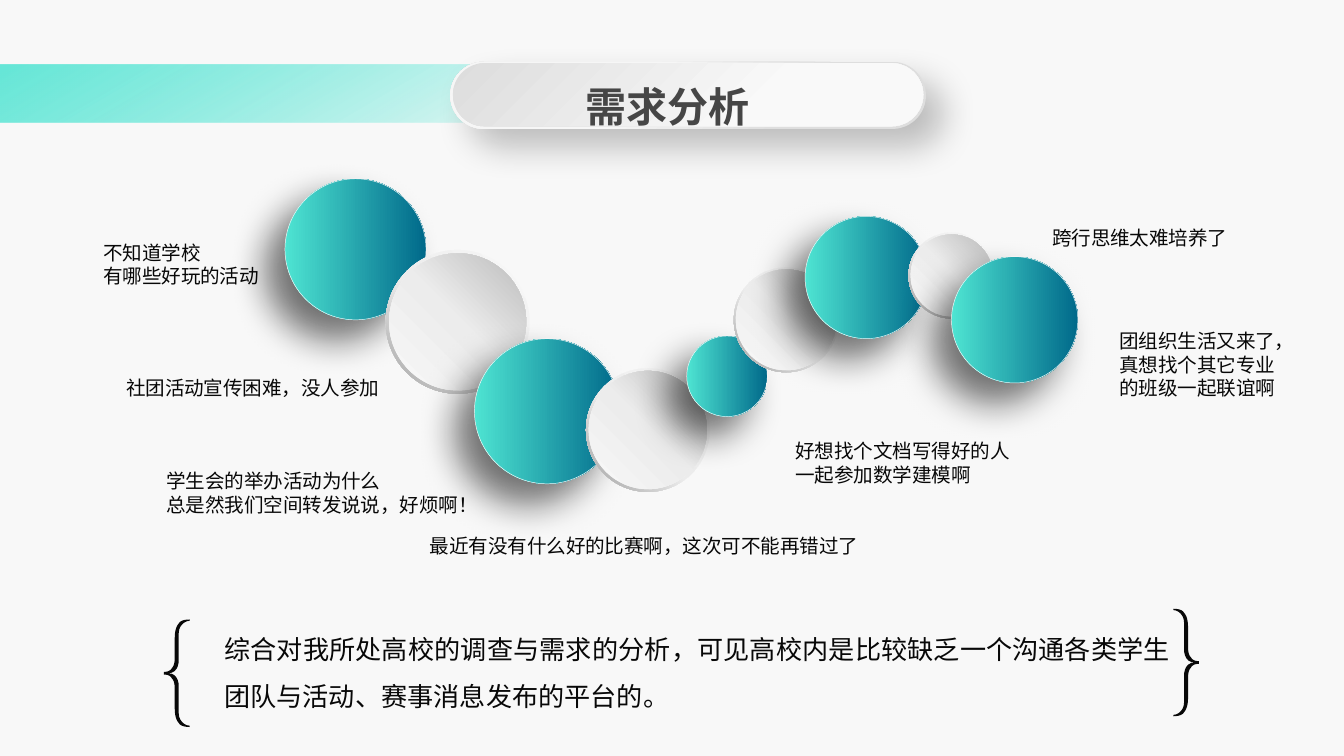
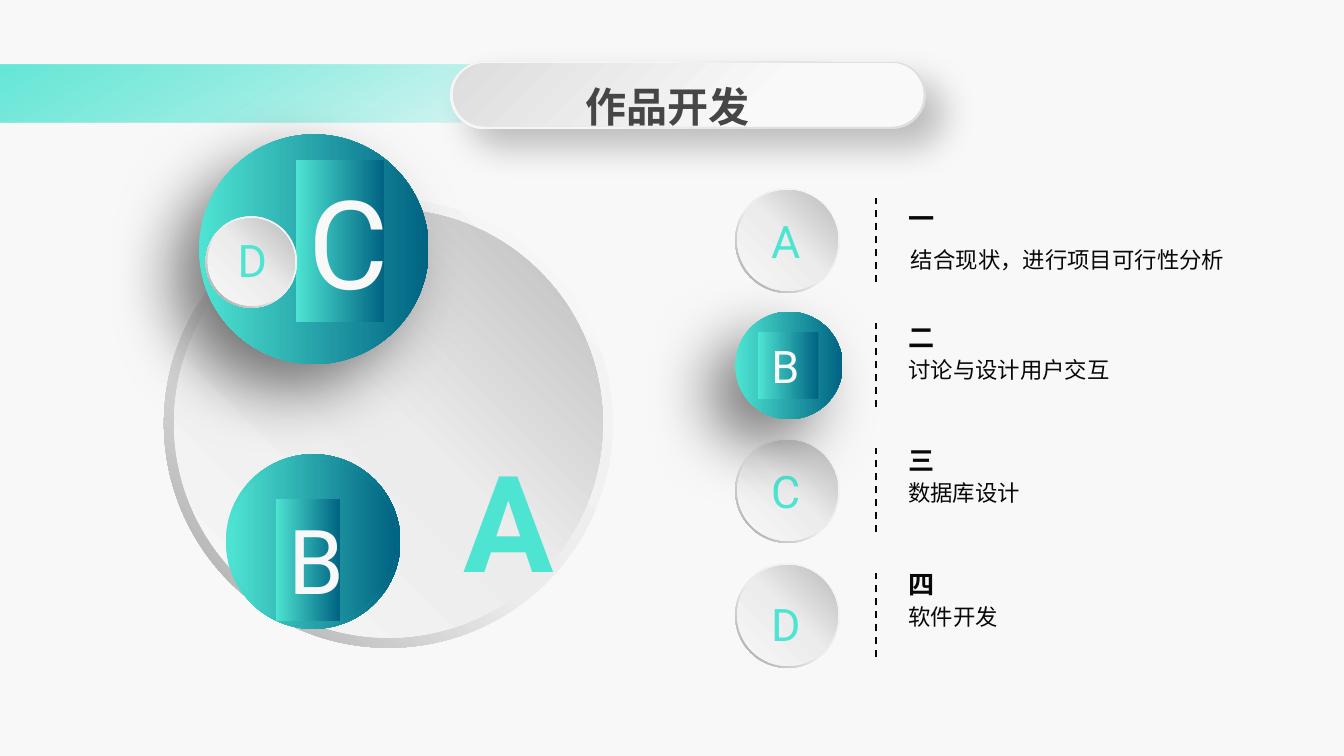
from dataclasses import dataclass

from lxml.etree import SubElement
from pptx import Presentation
from pptx.dml.color import RGBColor
from pptx.enum.dml import MSO_LINE
from pptx.enum.shapes import MSO_CONNECTOR, MSO_SHAPE as Preset
from pptx.enum.text import MSO_AUTO_SIZE, PP_ALIGN as Align
from pptx.oxml.ns import qn
from pptx.util import Emu, Pt

PX = 9144  # 100 px to the inch
SLIDE_WIDTH = 1000
SLIDE_HEIGHT = SLIDE_WIDTH * 9 / 16


@dataclass(frozen=True)
class Gradient:
    angle: int
    stops: tuple  # (position %, colour[, opacity %])


@dataclass(frozen=True)
class Shadow:
    opacity: int
    blur: int
    distance: int
    direction: int


class Theme:
    background = "F8F8F8"
    ink = "080808"
    title_ink = "464646"
    cjk = "Noto Sans CJK SC"
    latin = "Roboto"
    title, summary, heading, body, callout = 22, 14, 14, 12, 10.5
    badge = 24

    band = Gradient(60, ((1, "4EE4D2", 85), (50, "20E2CB", 0)))
    pill_edge = Gradient(225, ((1, "DEDEDE"), (30, "E0E0E0"), (61, "F6F6F6"), (100, "F8F8F8")))
    pill_face = Gradient(45, ((0, "DDDDDD"), (67, "F9F9F9")))
    ring = Gradient(135, ((0, "F8F8F8"), (55, "ECECEC"), (100, "A1A1A1")))
    face = Gradient(315, ((0, "F8F8F8"), (51, "ECECEC"), (100, "BABABA")))
    bead = Gradient(0, ((0, "4EE4D2"), (100, "00698A")))
    teal = Gradient(0, ((0, "4EE4D2"), (100, "006382")))

    pill_shadow = Shadow(24, 19, 14, 45)
    bead_shadow = Shadow(54, 20, 15, 135)
    teal_shadow = Shadow(50, 35, 20, 135)


NEEDS_TITLE = "需求分析"
CALLOUTS = [  # left, top, text, alignment
    (67, 174, "不知道学校\n有哪些好玩的活动", Align.JUSTIFY),
    (84, 275, "社团活动宣传困难，没人参加", Align.JUSTIFY),
    (114, 344, "学生会的举办活动为什么\n总是然我们空间转发说说，好烦啊！", Align.JUSTIFY),
    (310, 392, "最近有没有什么好的比赛啊，这次可不能再错过了", Align.JUSTIFY),
    (823, 240, "团组织生活又来了，\n真想找个其它专业\n的班级一起联谊啊", None),
    (773, 163, "跨行思维太难培养了", None),
    (582, 322, "好想找个文档写得好的人\n一起参加数学建模啊", Align.JUSTIFY),
]
SUMMARY = "综合对我所处高校的调查与需求的分析，可见高校内是比较缺乏一个沟通各类学生团队与活动、赛事消息发布的平台的。"
# left, top, diameter; teal beads and grey discs take turns
CHAIN = [
    (212, 133, 105), (287, 186, 107), (353, 252, 108),
    (436, 274, 92), (511, 250, 60), (546, 199, 78),
    (599, 161, 91), (676, 173, 64), (708, 191, 94),
]
# Upper half of a left brace, as joined cubic curves
BRACE_SIZE = (19, 80)
BRACE_INNER = [
    (19, 1), (15, 1), (11, 5), (11, 10), (11, 17), (11, 23), (11, 30),
    (11, 35), (9, 40), (3, 40),
]
BRACE_OUTER = [
    (0, 39), (3, 39), (5, 38), (6, 36), (7, 35), (8, 33), (8, 29), (8, 24),
    (8, 19), (8, 14), (8, 9), (9, 5), (11, 3), (12, 1), (15, 0), (19, 0),
]

WORK_TITLE = "作品开发"
# badge letter, letter top, heading, heading top, text, text left, text top
STEPS = [
    ("A", 154, "一", 146, "结合现状，进行项目可行性分析", 668, 176),
    ("B", 247, "二", 234, "讨论与设计用户交互", 666, 258),
    ("C", 340, "三", 326, "数据库设计", 666, 350),
    ("D", 439, "四", 418, "软件开发", 666, 442),
]
STEP_TOP, STEP_PITCH = 140, 93
ACTIVE_STEP = "B"


def rgb(colour):
    return RGBColor.from_string(colour)


def scaled(*lengths):
    return [Emu(round(length * PX)) for length in lengths]


def add_colour(parent, colour, opacity=100):
    element = SubElement(parent, qn("a:srgbClr"), val=colour)
    if opacity < 100:
        SubElement(element, qn("a:alpha"), val=str(opacity * 1000))


def gradient_fill(parent, gradient):
    fill = SubElement(parent, qn("a:gradFill"), rotWithShape="1")
    stops = SubElement(fill, qn("a:gsLst"))
    for position, *colour in gradient.stops:
        add_colour(SubElement(stops, qn("a:gs"), pos=str(position * 1000)), *colour)
    SubElement(fill, qn("a:lin"), ang=str(gradient.angle * 60000), scaled="0")
    return fill


def fill_shape(shape, gradient):
    properties = shape._element.spPr
    for empty in properties.findall(qn("a:noFill")):
        properties.remove(empty)
    properties.find(qn("a:prstGeom")).addnext(gradient_fill(properties, gradient))


def add_preset(slide, preset, box, gradient, shadow=None, adjust=None, line=None):
    shape = slide.shapes.add_shape(preset, *scaled(*box))
    fill_shape(shape, gradient)
    if adjust is not None:
        shape.adjustments[0] = adjust
    if line:
        shape.line.color.rgb = rgb(line)
        shape.line.width = Pt(0.25)
    else:
        shape.line.fill.background()
    shape.shadow.inherit = False
    if shadow:
        effects = shape._element.spPr.find(qn("a:effectLst"))
        outer = SubElement(
            effects, qn("a:outerShdw"), blurRad=str(Pt(shadow.blur)),
            dist=str(Pt(shadow.distance)), dir=str(shadow.direction * 60000),
            algn="ctr", rotWithShape="0")
        add_colour(outer, "000000", shadow.opacity)


def add_text(slide, text, box, size, font=Theme.cjk, colour=Theme.ink, bold=False,
             align=None, spacing=None, wrap=False, fill=None):
    """Write one paragraph per line; colour is a hex value or a Gradient."""
    shape = slide.shapes.add_textbox(*scaled(*box))
    if fill:
        fill_shape(shape, fill)
    frame = shape.text_frame
    frame.word_wrap = wrap
    frame.auto_size = MSO_AUTO_SIZE.SHAPE_TO_FIT_TEXT
    for index, line in enumerate(text.split("\n")):
        paragraph = frame.add_paragraph() if index else frame.paragraphs[0]
        paragraph.alignment = align
        paragraph.line_spacing = spacing
        run = paragraph.add_run()
        run.text = line
        run.font.size, run.font.bold, run.font.name = Pt(size), bold, font
        properties = run.font._element
        SubElement(properties, qn("a:ea"), typeface=font)
        if isinstance(colour, Gradient):
            properties.insert(0, gradient_fill(properties, colour))
        else:
            run.font.color.rgb = rgb(colour)


def fitted_box(left, top, text, size):
    """Box that just holds full-width characters and the default insets."""
    lines = text.split("\n")
    width = max(map(len, lines)) * size * 100 / 72 + 21
    return left, top, round(width), round(len(lines) * size * 1.68 + 10)


def add_disc(slide, left, top, size, ring=Theme.ring, face=Theme.face):
    """Round face inside a thin bevelled ring."""
    rim = round(size * 0.044)
    inset = rim / 2
    add_preset(slide, Preset.DONUT, (left, top, size, size), ring, adjust=0.049)
    add_preset(slide, Preset.OVAL, (left + inset, top + inset, size - rim, size - rim), face)


def add_teal_ball(slide, left, top, size):
    add_preset(slide, Preset.OVAL, (left, top, size, size), Theme.teal, Theme.teal_shadow)


def curve_points(controls, steps=6):
    points = [controls[0]]
    for start in range(0, len(controls) - 1, 3):
        segment = controls[start:start + 4]
        for step in range(1, steps + 1):
            t = step / steps
            weights = ((1 - t) ** 3, 3 * t * (1 - t) ** 2, 3 * t * t * (1 - t), t ** 3)
            points.append(tuple(
                sum(weight * point[axis] for weight, point in zip(weights, segment))
                for axis in (0, 1)))
    return points


def add_brace(slide, left, top, flipped=False):
    width, height = BRACE_SIZE
    inner, outer = curve_points(BRACE_INNER), curve_points(BRACE_OUTER)
    lower = [(x, height - y) for x, y in inner[::-1] + outer[::-1]]
    outline = [
        scaled(left + (width - x if flipped else x), top + y)
        for x, y in inner + lower + outer]
    builder = slide.shapes.build_freeform(*outline[0])
    builder.add_line_segments(outline[1:], close=True)
    shape = builder.convert_to_shape()
    shape.fill.solid()
    shape.fill.fore_color.rgb = rgb(Theme.ink)
    shape.line.fill.background()
    shape.shadow.inherit = False


def add_dashed_line(slide, x, top, bottom):
    line = slide.shapes.add_connector(MSO_CONNECTOR.STRAIGHT, *scaled(x, bottom, x, top))
    line.line.color.rgb = rgb(Theme.ink)
    line.line.width = Pt(1)
    line.line.dash_style = MSO_LINE.DASH
    SubElement(line._element.spPr, qn("a:effectLst"))


def add_title(slide, title):
    add_preset(slide, Preset.ROUNDED_RECTANGLE, (335, 46, 354, 50), Theme.pill_edge,
               Theme.pill_shadow, adjust=0.5)
    add_preset(slide, Preset.ROUNDED_RECTANGLE, (337, 47, 350, 47), Theme.pill_face, adjust=0.5)
    add_text(slide, title, (374, 45, 245, 54), Theme.title, colour=Theme.title_ink,
             bold=True, align=Align.CENTER, spacing=1.3, wrap=True)


def draw_needs(slide):
    for left, top, text, align in CALLOUTS:
        add_text(slide, text, fitted_box(left, top, text, Theme.callout), Theme.callout, align=align)
    add_text(slide, SUMMARY, (157, 455, 724, 77), Theme.summary,
             align=Align.JUSTIFY, spacing=1.5, wrap=True)
    for index, (left, top, size) in enumerate(CHAIN):
        if index % 2:
            add_disc(slide, left, top, size)
        else:
            add_preset(slide, Preset.OVAL, (left, top, size, size), Theme.bead,
                       Theme.bead_shadow, line=Theme.background)
    add_brace(slide, 122, 461)
    add_brace(slide, 873, 453, flipped=True)


def draw_cluster(slide):
    on_grey = {"font": Theme.latin, "colour": Theme.teal}
    on_teal = {"font": Theme.latin, "colour": Theme.background, "fill": Theme.teal}
    add_disc(slide, 122, 148, 334)
    add_text(slide, "A", (335, 321, 68, 131), 72, bold=True, **on_grey)
    add_teal_ball(slide, 148, 100, 171)
    add_text(slide, "C", (220, 119, 66, 121), 66, **on_teal)
    add_disc(slide, 168, 338, 130, Theme.teal, Theme.teal)
    add_text(slide, "B", (205, 371, 48, 91), 48, **on_teal)
    add_disc(slide, 153, 161, 68)
    add_text(slide, "D", (167, 168, 38, 50), Theme.badge, **on_grey)


def draw_steps(slide):
    # The active ball comes last, so that it casts its shadow over the others
    order = sorted(range(len(STEPS)), key=lambda row: (STEPS[row][0] == ACTIVE_STEP, -row))
    for row in order:
        letter, letter_top = STEPS[row][:2]
        top = STEP_TOP + row * STEP_PITCH
        active = letter == ACTIVE_STEP
        if active:
            add_teal_ball(slide, 547, top - 1, 80)
        else:
            add_disc(slide, 547, top, 78)
        add_text(slide, letter, (564, letter_top, 45 if active else 37, 50), Theme.badge,
                 font=Theme.latin, colour=Theme.background if active else Theme.teal,
                 fill=Theme.teal if active else None)
    for row, (_, _, heading, heading_top, text, left, top) in enumerate(STEPS):
        add_text(slide, heading, fitted_box(666, heading_top, heading, Theme.heading),
                 Theme.heading, bold=True)
        add_text(slide, text, fitted_box(left, top, text, Theme.body), Theme.body, spacing=1.1)
        line_top = STEP_TOP + 7 + row * STEP_PITCH
        add_dashed_line(slide, 652, line_top, line_top + 63)


def draw_work(slide):
    draw_cluster(slide)
    draw_steps(slide)


def main():
    presentation = Presentation()
    presentation.slide_width, presentation.slide_height = scaled(SLIDE_WIDTH, SLIDE_HEIGHT)
    for title, draw in ((NEEDS_TITLE, draw_needs), (WORK_TITLE, draw_work)):
        slide = presentation.slides.add_slide(presentation.slide_layouts[6])
        slide.background.fill.solid()
        slide.background.fill.fore_color.rgb = rgb(Theme.background)
        add_preset(slide, Preset.RECTANGLE, (-1, 48, 988, 43), Theme.band)
        draw(slide)
        add_title(slide, title)
    presentation.save("out.pptx")


if __name__ == "__main__":
    main()
